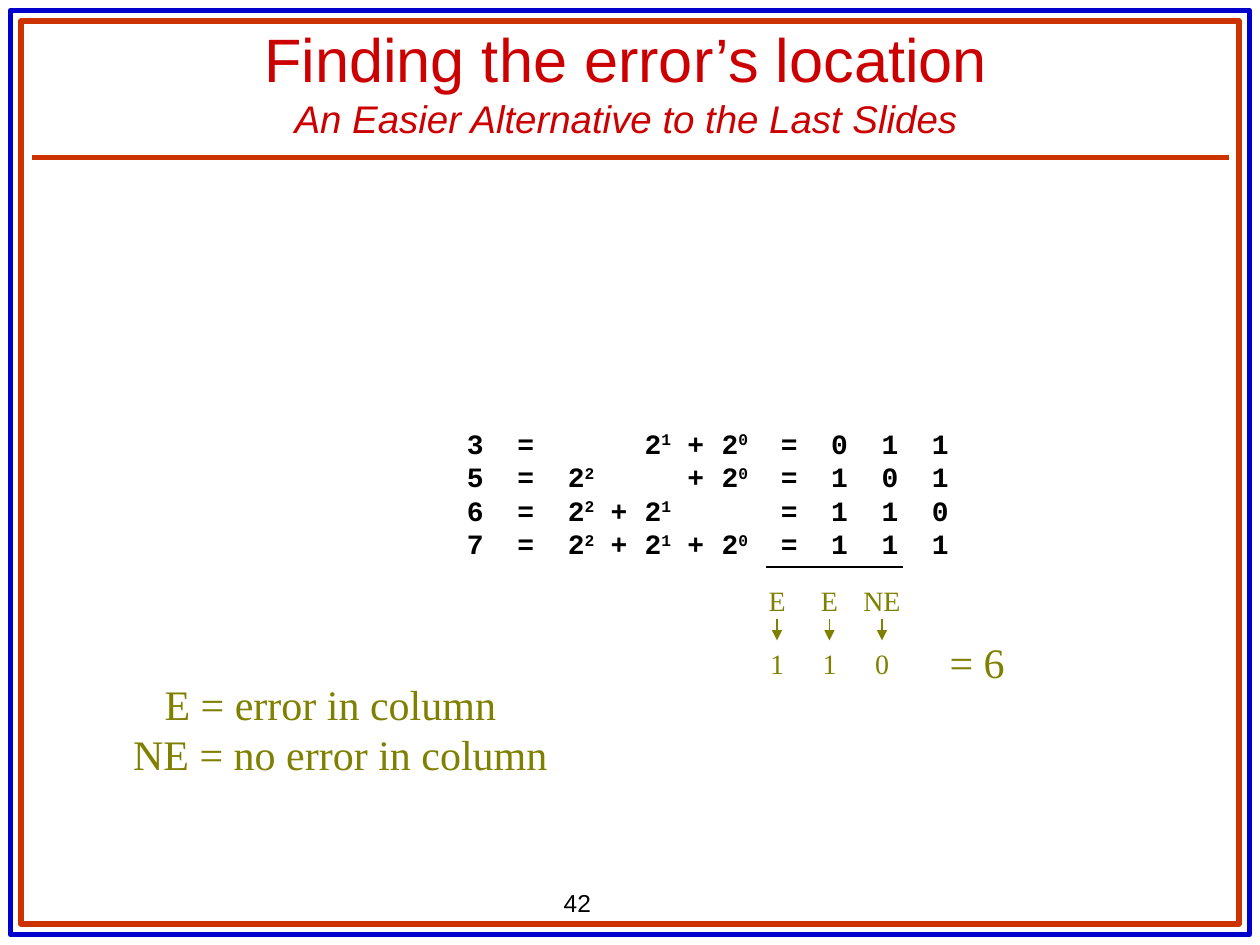
"""Build the slide on finding an error's location."""
from typing import NamedTuple

from lxml import etree
from pptx import Presentation
from pptx.dml.color import RGBColor
from pptx.enum.shapes import MSO_CONNECTOR, MSO_SHAPE
from pptx.enum.text import MSO_ANCHOR, PP_ALIGN
from pptx.oxml.ns import qn
from pptx.util import Inches, Pt

LINE, RECT = MSO_CONNECTOR.STRAIGHT, MSO_SHAPE.RECTANGLE
LEFT, MID = PP_ALIGN.LEFT, PP_ALIGN.CENTER
TOP, BASE = MSO_ANCHOR.TOP, MSO_ANCHOR.BOTTOM
COLS, ROWS = 120, 90
SANS, MONO, SERIF = "Arial", "Courier New", "Times New Roman"
BLACK, BLUE, RUST, RED, OLIVE = "000000", "0000CC", "CC3300", "CC0000", "808000"
STOPS = (0.4, 0.8, 1.14, 1.41, 1.75, 2.02, 2.49, 2.89, 3.29, 3.69)


class Box(NamedTuple):
    """A place on the grid, in columns and rows."""
    left: float
    top: float
    width: float
    height: float


class Frame(NamedTuple):
    """A border around the slide."""
    inset: float
    color: str


class Mark(NamedTuple):
    """The verdict on one column of bits."""
    col: float
    sign: str
    bit: str


class Run(NamedTuple):
    """A piece of text with its own format."""
    text: str
    size: float = 0
    slant: bool = False
    raised: bool = False


FRAMES = [Frame(1, BLUE), Frame(2, RUST)]
MARKS = [Mark(74, "E", "1"), Mark(79, "E", "1"), Mark(84, "NE", "0")]
VALUES = (3, 5, 6, 7)

deck = Presentation()
deck.slide_width, deck.slide_height = Inches(10), Inches(7.5)
slide = deck.slides.add_slide(deck.slide_layouts[6])


def grid_x(col: float) -> int:
    """Turn columns into a length."""
    return round(deck.slide_width * col / COLS)


def grid_y(row: float) -> int:
    """Turn rows into a length."""
    return round(deck.slide_height * row / ROWS)


def paint(target, color: str) -> None:
    """Give a fill or a font a solid colour."""
    target.rgb = RGBColor.from_string(color)


def place(box: Box) -> tuple[int, int, int, int]:
    """Turn a box into lengths."""
    return (grid_x(box.left), grid_y(box.top),
            grid_x(box.width), grid_y(box.height))


def write(lines: list[list[Run]], box: Box, *, size: float, font: str,
          color: str, bold: bool = False, align=LEFT, anchor=TOP,
          stops: tuple = (), indents: tuple = ()) -> None:
    """Write paragraphs of runs; a newline run breaks the line."""
    frame = slide.shapes.add_textbox(*place(box)).text_frame
    frame.word_wrap = True
    frame.vertical_anchor = anchor
    for i, line in enumerate(lines):
        para = frame.paragraphs[0] if i == 0 else frame.add_paragraph()
        para.alignment = align
        props = para._p.get_or_add_pPr()
        if indents:
            props.set("marL", str(Inches(indents[i])))
            props.set("indent", "0")
        if stops:
            tabs = etree.SubElement(props, qn("a:tabLst"))
            for stop in stops:
                etree.SubElement(tabs, qn("a:tab"), pos=str(Inches(stop)), algn="l")
        for part in line:
            if part.text == "\n":
                para.add_line_break()
                continue
            run = para.add_run()
            run.text = part.text
            run.font.name, run.font.size = font, Pt(part.size or size)
            run.font.bold, run.font.italic = bold, part.slant
            paint(run.font.color, color)
            if part.raised:
                run._r.get_or_add_rPr().set("baseline", "30000")


def rule(start: tuple, end: tuple, color: str, width: float,
         arrow: bool = False) -> None:
    """Draw a line between two grid points."""
    line = slide.shapes.add_connector(
        LINE, grid_x(start[0]), grid_y(start[1]), grid_x(end[0]), grid_y(end[1]))
    paint(line.line.color, color)
    line.line.width = Pt(width)
    if arrow:
        etree.SubElement(line.line._get_or_add_ln(), qn("a:tailEnd"), type="triangle")
    etree.SubElement(line._element.spPr, qn("a:effectLst"))


def border(frame: Frame) -> None:
    """Draw a border at an even inset."""
    gap = frame.inset
    shape = slide.shapes.add_shape(
        RECT, *place(Box(gap, gap, COLS - 2 * gap, ROWS - 2 * gap)))
    shape.shadow.inherit = False
    shape.fill.background()
    paint(shape.line.color, frame.color)
    shape.line.width = Pt(3)


def powers(value: int) -> list[Run]:
    """Spell a value as a sum of powers of two and as bits."""
    bits = f"{value:03b}"
    runs = [Run(f"{value}\t=")]
    for i, bit in enumerate(bits):
        if i:
            plus = bit == "1" and "1" in bits[:i]
            runs.append(Run("\t+" if plus else "\t"))
        runs.append(Run("\t2" if bit == "1" else "\t"))
        if bit == "1":
            runs.append(Run(str(2 - i), raised=True))
    return runs + [Run("\t=\t" + "\t".join(bits))]


def verdict(mark: Mark) -> None:
    """Draw a sign, an arrow and the bit it gives."""
    for text, top in ((mark.sign, 55), (mark.bit, 61)):
        width = 1.5 + 2.5 * len(text)
        write([[Run(text)]], Box(mark.col - width / 2, top, width, 4.4),
              size=16, font=SERIF, color=OLIVE, align=MID)
    rule((mark.col, 59), (mark.col, 61), OLIVE, 1, arrow=True)


def main() -> None:
    """Draw the slide and save it."""
    write([[Run("42")]], Box(52.5, 84, 13, 4), size=14, font=SANS, color=BLACK)
    for frame in FRAMES:
        border(frame)
    rule((3, 15), (117, 15), RUST, 3)
    write([[Run("Finding the error’s location"), Run("\n"),
            Run("An Easier Alternative to the Last Slides", 22, slant=True)]],
          Box(5.25, 5, 108.75, 9), size=35, font=SANS, color=RED,
          align=MID, anchor=BASE)
    write([powers(value) for value in VALUES], Box(43.3, 40, 49, 14),
          size=16, font=MONO, color=BLACK, bold=True, stops=STOPS)
    for mark in MARKS:
        verdict(mark)
    write([[Run("= 6")]], Box(89.25, 60, 8, 6), size=24, font=SERIF, color=OLIVE)
    rule((73, 54), (86, 54), BLACK, 1)
    write([[Run("E = error in column")], [Run("NE = no error in column")]],
          Box(11.5, 64, 42.5, 10.8), size=24, font=SERIF, color=OLIVE,
          indents=(0.25, 0))
    deck.save("out.pptx")


if __name__ == "__main__":
    main()
